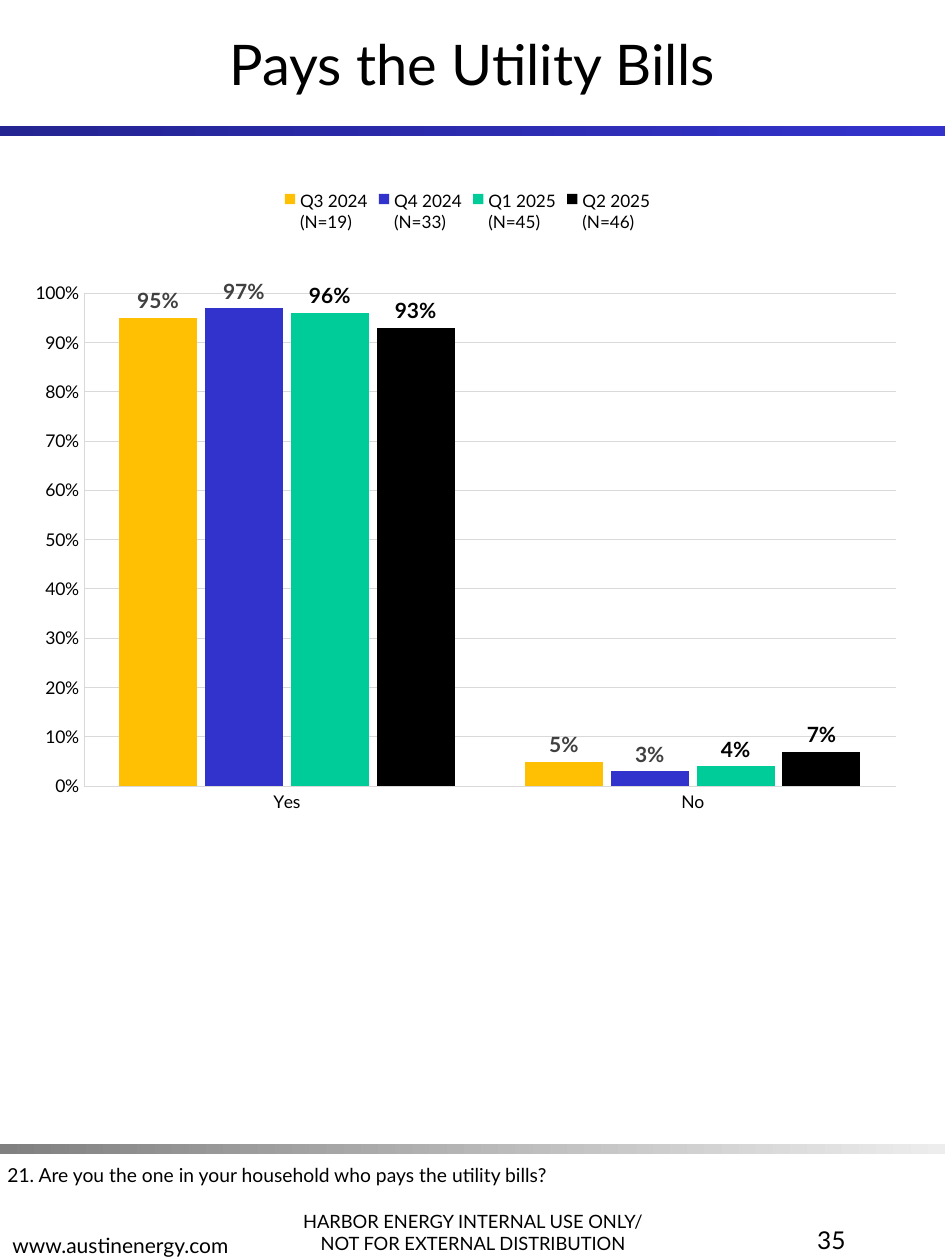
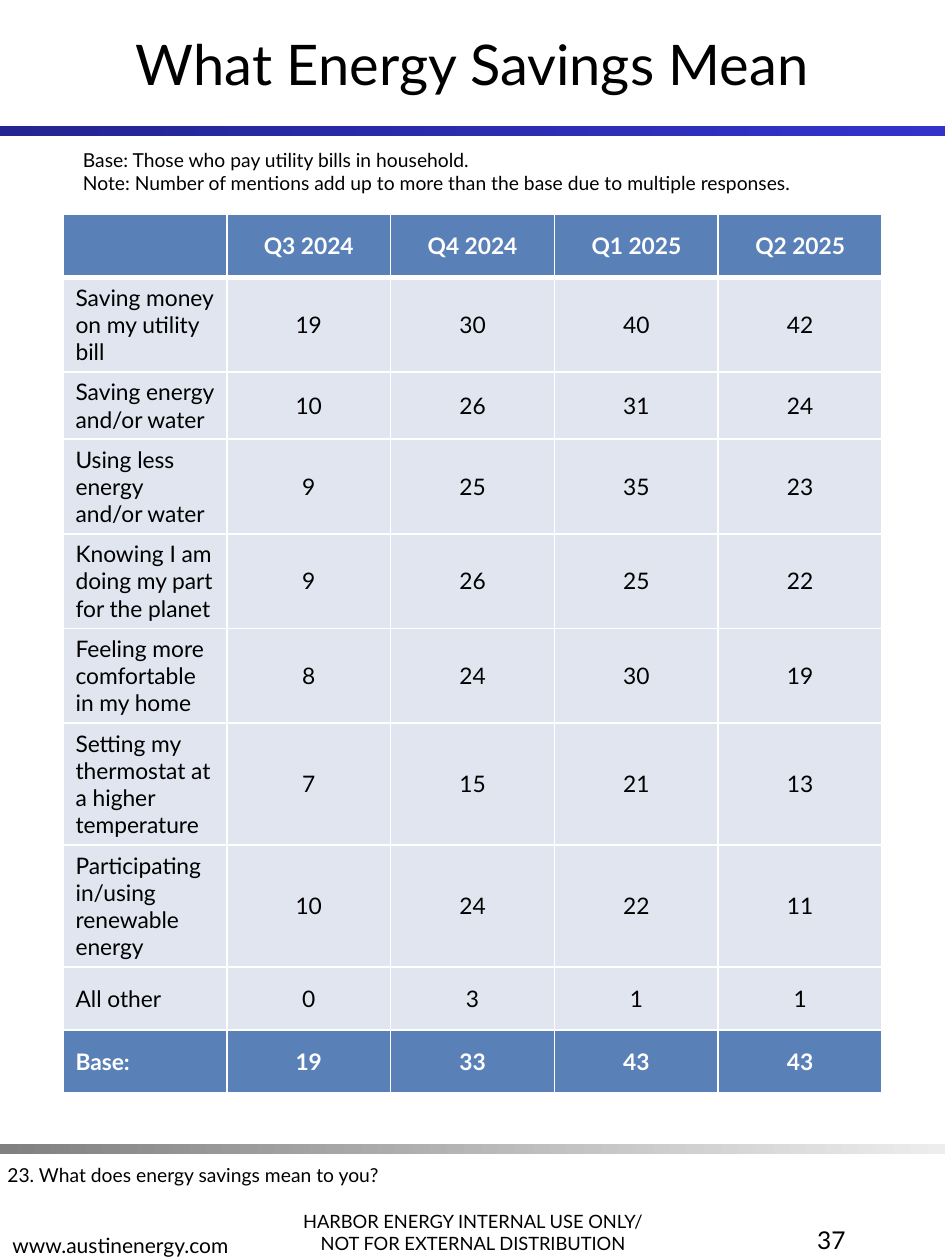
import pptx
import pptx.chart.data
import pptx.dml.color
import pptx.enum.chart
import pptx.enum.shapes
import pptx.enum.text
import pptx.oxml
import pptx.oxml.ns
import pptx.util
from pptx.util import Inches

ALIGN = pptx.enum.text.PP_ALIGN
ANCHOR = pptx.enum.text.MSO_ANCHOR
BLACK, WHITE, GRID_GREY, LABEL_GREY = "000000", "FFFFFF", "D9D9D9", "404040"
TABLE_BLUE, TABLE_PALE = "5A80B8", "E0E5F0"
TITLE_BAND = ("242492", "3333CC")
FOOTER_BAND = ("808080", "EDEDED")
PERCENT = "0%"


def rgb(color):
    return pptx.dml.color.RGBColor.from_string(color)


class Report:
    font_name = "Lato"

    def __init__(self):
        self.presentation = pptx.Presentation()
        self.presentation.slide_width = Inches(7.5)
        self.presentation.slide_height = Inches(10)
        self.slide = None

    def set_font(self, font, size, color=BLACK, bold=False):
        font.name = self.font_name
        font.size = pptx.util.Pt(size)
        font.bold = bold
        font.color.rgb = rgb(color)

    def fill_text(self, text_frame, lines, size, align=ALIGN.LEFT, anchor=ANCHOR.TOP):
        text_frame.word_wrap = True
        text_frame.vertical_anchor = anchor
        text_frame.text = "\n".join(lines)
        for paragraph in text_frame.paragraphs:
            paragraph.alignment = align
            self.set_font(paragraph.font, size)

    def text(self, box, lines, size, **style):
        shape = self.slide.shapes.add_textbox(*map(Inches, box))
        self.fill_text(shape.text_frame, lines, size, **style)

    def band(self, top, colors):
        shape = self.slide.shapes.add_shape(
            pptx.enum.shapes.MSO_SHAPE.RECTANGLE,
            0, Inches(top), self.presentation.slide_width, Inches(0.08))
        shape.shadow.inherit = False
        shape.line.fill.background()
        shape.fill.gradient()
        shape.fill.gradient_angle = 0
        for stop, color in zip(shape.fill.gradient_stops, colors):
            stop.color.rgb = rgb(color)

    def new_slide(self, title, question, number):
        self.slide = self.presentation.slides.add_slide(
            self.presentation.slide_layouts[5])

        # Title and bands
        shape = self.slide.shapes.title
        shape.left, shape.top = Inches(0), Inches(0)
        shape.width, shape.height = self.presentation.slide_width, Inches(1)
        self.fill_text(shape.text_frame, [title], 32,
                       align=ALIGN.CENTER, anchor=ANCHOR.MIDDLE)
        self.band(1, TITLE_BAND)
        self.band(9.08, FOOTER_BAND)

        # Footer
        self.text((2.16, 9.33, 3.19, 0.67),
                  ["HARBOR ENERGY INTERNAL USE ONLY/", "NOT FOR EXTERNAL DISTRIBUTION"],
                  10.5, align=ALIGN.CENTER, anchor=ANCHOR.BOTTOM)
        self.text((0, 9.36, 3.19, 0.67), ["www.austinenergy.com"], 12, anchor=ANCHOR.BOTTOM)
        self.text((5.25, 9.67, 1.56, 0.33), [str(number)], 14, align=ALIGN.RIGHT)
        self.text((-0.04, 9.18, 6.85, 0.29), [question], 11)

    def column_chart(self, box, categories, series_rows, maximum):
        chart_data = pptx.chart.data.CategoryChartData(number_format=PERCENT)
        chart_data.categories = categories
        for name, values, *_ in series_rows:
            chart_data.add_series(name, values)
        chart = self.slide.shapes.add_chart(
            pptx.enum.chart.XL_CHART_TYPE.COLUMN_CLUSTERED,
            *map(Inches, box), chart_data).chart
        self.set_font(chart.font, 10)
        chart.has_title = False

        # Legend
        chart.has_legend = True
        chart.legend.position = pptx.enum.chart.XL_LEGEND_POSITION.TOP
        chart.legend.include_in_layout = False
        self.set_font(chart.legend.font, 9.8)

        # Axes
        for axis, width in ((chart.category_axis, 0.62), (chart.value_axis, 0.41)):
            axis.major_tick_mark = pptx.enum.chart.XL_TICK_MARK.NONE
            axis.minor_tick_mark = pptx.enum.chart.XL_TICK_MARK.NONE
            axis.format.line.color.rgb = rgb(GRID_GREY)
            axis.format.line.width = pptx.util.Pt(width)
            self.set_font(axis.tick_labels.font, 10)
        value_axis = chart.value_axis
        value_axis.minimum_scale, value_axis.maximum_scale = 0, maximum
        value_axis.major_unit = 0.1
        value_axis.tick_labels.number_format = PERCENT
        value_axis.tick_labels.number_format_is_linked = False
        value_axis.has_major_gridlines = True
        grid_line = value_axis.major_gridlines.format.line
        grid_line.color.rgb = rgb(GRID_GREY)
        grid_line.width = pptx.util.Pt(0.62)

        # Columns and their labels
        plot = chart.plots[0]
        plot.vary_by_categories = False
        plot.gap_width, plot.overlap = 90, -10
        for series, (_, _, color, label_color) in zip(plot.series, series_rows):
            series.format.fill.solid()
            series.format.fill.fore_color.rgb = rgb(color)
            labels = series.data_labels
            labels.show_value = True
            labels.number_format = PERCENT
            labels.number_format_is_linked = False
            labels.position = pptx.enum.chart.XL_LABEL_POSITION.OUTSIDE_END
            self.set_font(labels.font, 12, label_color, bold=True)
        self.place_plot(chart, x=0.07, y=0.18, w=0.91, h=0.76)

    def place_plot(self, chart, **fractions):
        settings = "".join(f'<c:{edge}Mode val="edge"/>' for edge in "xy")
        settings += "".join(f'<c:{key} val="{value}"/>' for key, value in fractions.items())
        layout = pptx.oxml.parse_xml(
            f'<c:layout {pptx.oxml.ns.nsdecls("c")}><c:manualLayout>'
            f'<c:layoutTarget val="inner"/>{settings}</c:manualLayout></c:layout>')
        plot_area = chart.element.chart.plotArea if hasattr(chart, "element") else \
            chart._chartSpace.chart.plotArea
        for old_layout in plot_area.findall(pptx.oxml.ns.qn("c:layout")):
            plot_area.remove(old_layout)
        plot_area.insert(0, layout)

    def set_borders(self, cell, **widths):
        properties = cell._tc.get_or_add_tcPr()
        for side in "LRTB":
            width = pptx.util.Pt(widths.get(side, 1))
            properties.append(pptx.oxml.parse_xml(
                f'<a:ln{side} {pptx.oxml.ns.nsdecls("a")} w="{width}"><a:solidFill>'
                f'<a:srgbClr val="{WHITE}"/></a:solidFill></a:ln{side}>'))

    def table(self, box, rows):
        table = self.slide.shapes.add_table(
            len(rows), len(rows[0]), *map(Inches, box)).table
        table.horz_banding = False
        last = len(rows) - 1
        for row_index, row in enumerate(rows):
            strong = row_index in (0, last)
            for column_index, value in enumerate(row):
                cell = table.cell(row_index, column_index)
                self.set_borders(cell, T=3 if row_index == 1 else 1,
                                 B=3 if row_index == 0 else 1)
                cell.fill.solid()
                cell.fill.fore_color.rgb = rgb(TABLE_BLUE if strong else TABLE_PALE)
                cell.vertical_anchor = ANCHOR.MIDDLE
                cell.text = str(value)
                paragraph = cell.text_frame.paragraphs[0]
                paragraph.alignment = ALIGN.CENTER if column_index else ALIGN.LEFT
                self.set_font(paragraph.font, 13, WHITE if strong else BLACK, bold=strong)


def main():
    report = Report()

    # Who pays the bills
    report.new_slide("Pays the Utility Bills",
                     "21. Are you the one in your household who pays the utility bills?", 35)
    report.column_chart((0.17, 1.4, 7.08, 5.15), ["Yes", "No"], [
        ("Q3 2024\n(N=19)", (0.95, 0.05), "FFC003", LABEL_GREY),
        ("Q4 2024\n(N=33)", (0.97, 0.03), "3233CC", LABEL_GREY),
        ("Q1 2025\n(N=45)", (0.96, 0.04), "00CC9A", BLACK),
        ("Q2 2025\n(N=46)", (0.93, 0.07), BLACK, BLACK),
    ], maximum=1)

    # Meaning of energy savings
    report.new_slide("What Energy Savings Mean",
                     "23. What does energy savings mean to you?", 37)
    report.text((0.56, 1.13, 5.96, 0.47), [
        "Base: Those who pay utility bills in household.",
        "Note: Number of mentions add up to more than the base due to multiple responses.",
    ], 11)
    report.table((0.5, 1.7, 6.5, 5), [
        ("", "Q3 2024", "Q4 2024", "Q1 2025", "Q2 2025"),
        ("Saving money on my utility bill", 19, 30, 40, 42),
        ("Saving energy and/or water", 10, 26, 31, 24),
        ("Using less energy and/or water", 9, 25, 35, 23),
        ("Knowing I am doing my part for the planet", 9, 26, 25, 22),
        ("Feeling more comfortable in my home", 8, 24, 30, 19),
        ("Setting my thermostat at a higher temperature", 7, 15, 21, 13),
        ("Participating in/using renewable energy", 10, 24, 22, 11),
        ("All other", 0, 3, 1, 1),
        ("Base:", 19, 33, 43, 43),
    ])

    report.presentation.save("out.pptx")


if __name__ == "__main__":
    main()
